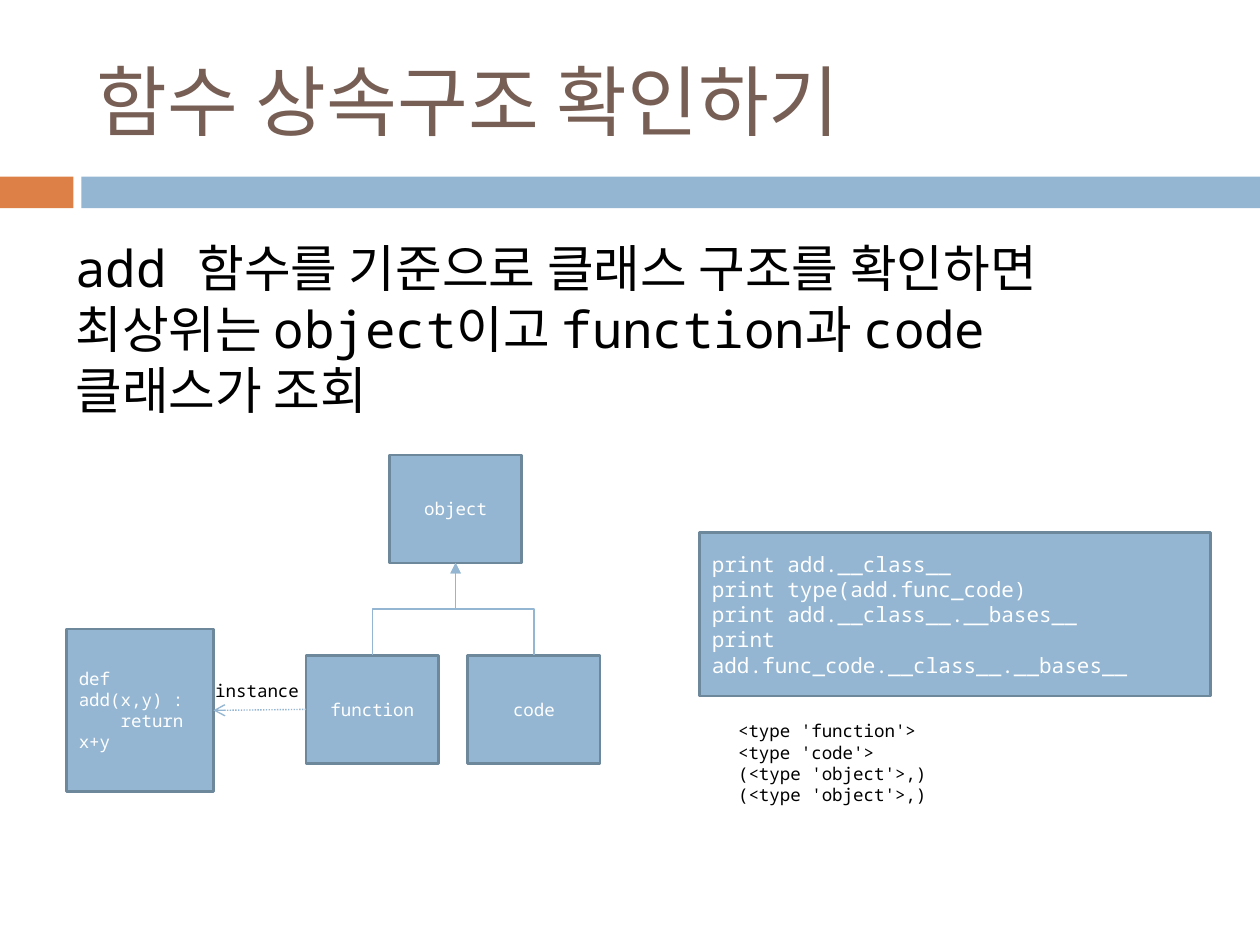
from dataclasses import dataclass

from lxml.etree import SubElement
from pptx import Presentation
from pptx.dml.color import RGBColor as RGB
from pptx.enum.dml import MSO_LINE as Dash
from pptx.enum.shapes import MSO_CONNECTOR as Link, MSO_SHAPE as Shape
from pptx.enum.text import MSO_ANCHOR as Anchor, MSO_AUTO_SIZE as Fit, PP_ALIGN as Align
from pptx.oxml.ns import qn
from pptx.util import Cm, Pt


@dataclass(frozen=True)
class Theme:
    """Colours, font and type sizes of the slide."""
    font: str = "Noto Sans Mono"
    blue: str = "94B6D2"
    edge: str = "6D879B"
    orange: str = "DD8047"
    brown: str = "775F55"
    black: str = "000000"
    white: str = "FFFFFF"
    title: float = 44
    body: float = 29
    code: float = 12
    small: float = 10


class Deck:
    """Holds the theme and the current slide, and draws each kind of element."""

    def __init__(self, prs, theme):
        """Start a title-only slide."""
        self.theme = theme
        self.s = prs.slides.add_slide(prs.slide_layouts[5])

    def fill_text(self, sp, lines, size, color, align=Align.LEFT, **frame):
        """Fill a shape with one paragraph per line."""
        tf = sp.text_frame
        for name, value in {"word_wrap": True, "auto_size": Fit.NONE, **frame}.items():
            setattr(tf, name, value)
        for i, line in enumerate(lines):
            p = tf.paragraphs[0] if i == 0 else tf.add_paragraph()
            p.alignment = align
            r = p.add_run()
            r.text = line
            for name, value in {"name": self.theme.font, "size": Pt(size)}.items():
                setattr(r.font, name, value)
            r.font.color.rgb = RGB.from_string(color)

    def title(self, text, box):
        """Place and format the title placeholder."""
        sp = self.s.shapes.title
        for name, value in zip(("left", "top", "width", "height"), box):
            setattr(sp, name, Cm(value))
        self.fill_text(sp, [text], self.theme.title, self.theme.brown,
                       vertical_anchor=Anchor.MIDDLE)

    def rect(self, box, fill, edge=None):
        """Draw a flat rectangle with an optional outline."""
        sp = self.s.shapes.add_shape(Shape.RECTANGLE, *map(Cm, box))
        sp.shadow.inherit = False
        sp.fill.solid()
        sp.fill.fore_color.rgb = RGB.from_string(fill)
        if edge:
            sp.line.color.rgb = RGB.from_string(edge)
            sp.line.width = Pt(1.5)
        else:
            sp.line.fill.background()
        return sp

    def node(self, lines, box, size, align=Align.LEFT):
        """Draw an outlined box with white text."""
        sp = self.rect(box, self.theme.blue, self.theme.edge)
        self.fill_text(sp, lines, size, self.theme.white, align, vertical_anchor=Anchor.MIDDLE)
        return sp

    def text(self, lines, box, size, **frame):
        """Add a black text box."""
        sp = self.s.shapes.add_textbox(*map(Cm, box))
        self.fill_text(sp, lines, size, self.theme.black, **frame)

    def connect(self, kind, start, end, sides, head, dash=None):
        """Join two boxes with an arrow."""
        c = self.s.shapes.add_connector(kind, 0, 0, 0, 0)
        c.begin_connect(start, sides[0])
        c.end_connect(end, sides[1])
        for name, value in {"width": Pt(0.79), "dash_style": dash}.items():
            setattr(c.line, name, value)
        c.line.color.rgb = RGB.from_string(self.theme.blue)
        pr = c._element.spPr
        SubElement(pr.find(qn("a:ln")), qn("a:tailEnd"), type=head)
        SubElement(pr, qn("a:effectLst"))
        return c

    def inherit(self, child, parent):
        """Draw an elbow arrow up from the child to its parent."""
        c = self.connect(Link.ELBOW, child, parent, (0, 2), "triangle")
        x1, y1, x2, y2 = c.begin_x, c.begin_y, c.end_x, c.end_y
        w, h = abs(y2 - y1), abs(x2 - x1)
        xfrm = c._element.spPr.find(qn("a:xfrm"))
        for name in ("flipH", "flipV"):
            xfrm.attrib.pop(name, None)
        xfrm.set("rot", str(270 * 60000))
        if x2 < x1:
            xfrm.set("flipV", "1")
        place = {"left": (x1 + x2 - w) // 2, "top": (y1 + y2 - h) // 2, "width": w, "height": h}
        for name, value in place.items():
            setattr(c, name, value)


def main():
    """Build the slide and save it."""
    prs = Presentation()
    prs.slide_width, prs.slide_height = Cm(25.4), Cm(19.05)
    t = Theme()
    d = Deck(prs, t)
    d.rect((0, 3.56, 1.48, 0.64), t.orange)
    d.rect((1.64, 3.56, 23.76, 0.64), t.blue)
    d.title("함수 상속구조 확인하기", (1.7, 0.64, 22.66, 2.74))
    d.text(["add 함수를 기준으로 클래스 구조를 확인하면 최상위는 object이고 function과 code 클래스가 조회"],
           (1.27, 4.65, 22.86, 3.68), t.body)

    places = {"object": (7.85, 9.17), "function": (6.17, 13.21), "code": (9.43, 13.21)}
    nodes = {name: d.node([name], (*at, 2.67, 2.18), t.small, Align.CENTER)
             for name, at in places.items()}
    for name in ("function", "code"):
        d.inherit(nodes[name], nodes["object"])
    add = d.node(["def add(x,y) :", "    return x+y"], (1.34, 12.68, 2.96, 3.28), t.small)
    d.connect(Link.STRAIGHT, nodes["function"], add, (1, 3), "arrow", Dash.ROUND_DOT)
    d.text(["instance"], (4.09, 13.59, 2.31, 0.64), t.small, auto_size=Fit.SHAPE_TO_FIT_TEXT)

    d.node(["print add.__class__", "print type(add.func_code)", "print add.__class__.__bases__",
            "print add.func_code.__class__.__bases__"], (14.1, 10.74, 10.31, 3.29), t.code)
    d.text(["<type 'function'>", "<type 'code'>"] + ["(<type 'object'>,)"] * 2,
           (14.63, 14.4, 8.41, 1.96), t.small, auto_size=Fit.SHAPE_TO_FIT_TEXT)
    prs.save("out.pptx")


if __name__ == "__main__":
    main()
